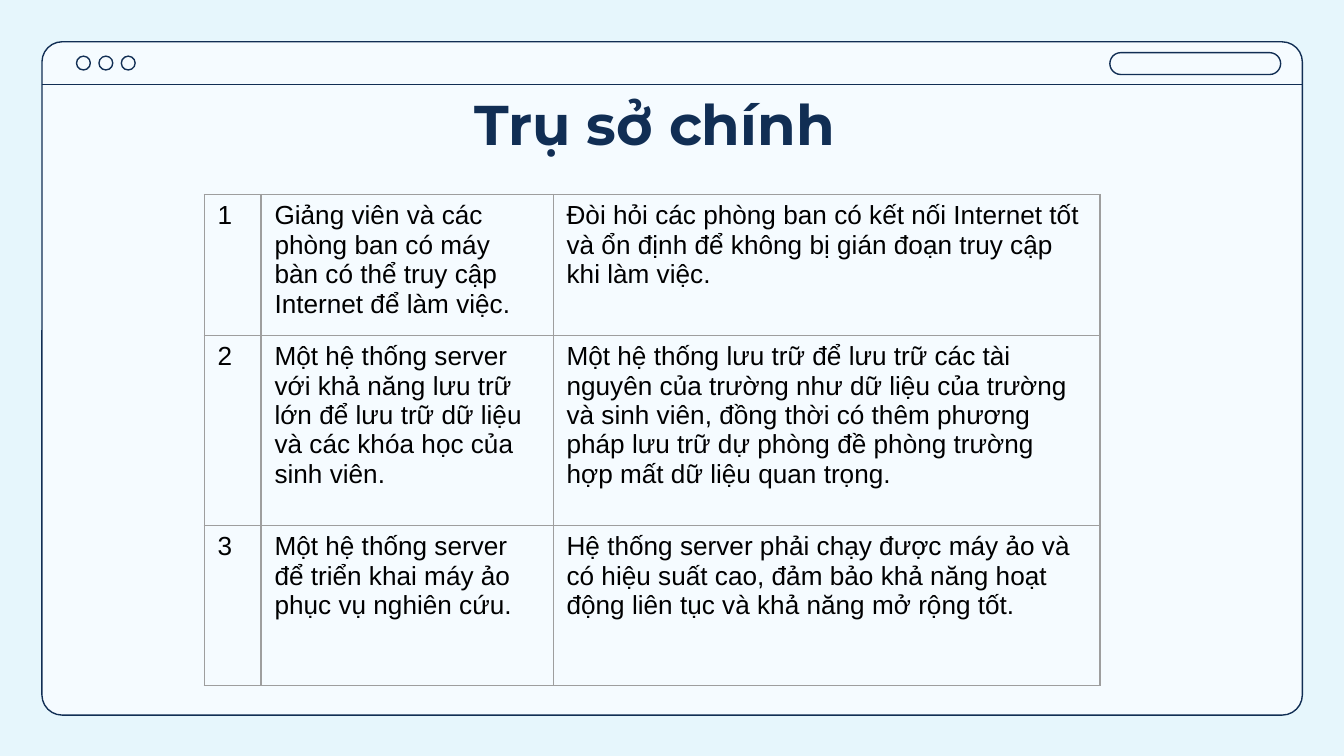
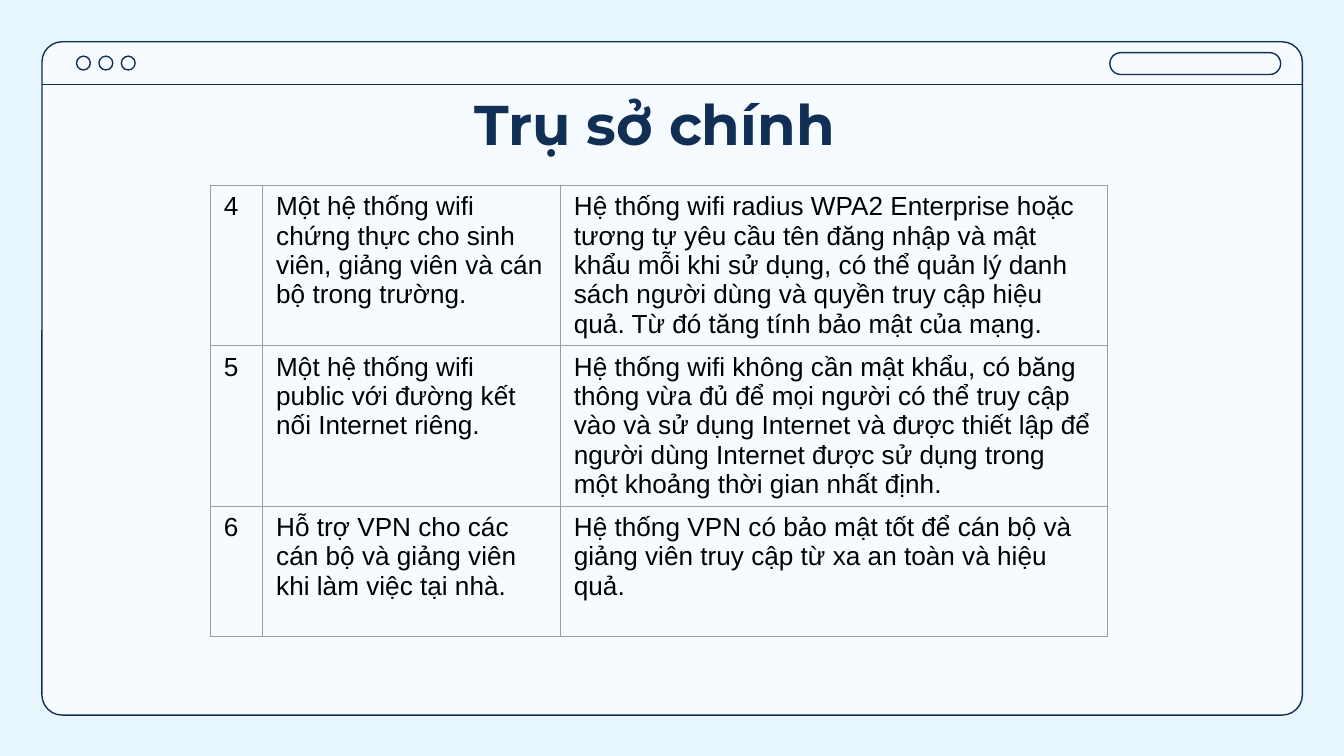
from pptx import Presentation
from pptx.dml.color import RGBColor
from pptx.enum.shapes import MSO_CONNECTOR as Connector, MSO_SHAPE as Shape
from pptx.enum.text import MSO_ANCHOR as Anchor, MSO_AUTO_SIZE as AutoSize, PP_ALIGN as Align
from pptx.oxml.ns import qn
from pptx.util import Pt
from lxml.etree import SubElement

NAVY, PANEL, SKY, GRID, BLACK = "112E54", "F5FBFF", "E6F6FC", "9E9E9E", "000000"
TITLE = "Trụ sở chính"
FRAME_LEFT, FRAME_TOP, FRAME_WIDTH, FRAME_HEIGHT = 22.5, 22.4, 675.2, 360.7
BAR_BOTTOM = 45.2
DOT_LEFT, DOT_PITCH, DOT_SIZE = 41, 12, 7.4
LINE_WIDTH = 0.75

HEADQUARTERS = [
    {
        "left": 109.4, "top": 104.2,
        "columns": [30.5, 156.5, 293], "heights": [75.5, 101.8, 85.7],
        "rows": [
            ("1", "Giảng viên và các phòng ban có máy bàn có thể truy cập Internet để làm việc.",
             "Đòi hỏi các phòng ban có kết nối Internet tốt và ổn định để không bị gián đoạn "
             "truy cập khi làm việc."),
            ("2", "Một hệ thống server với khả năng lưu trữ lớn để lưu trữ dữ liệu và các khóa "
             "học của sinh viên.",
             "Một hệ thống lưu trữ để lưu trữ các tài nguyên của trường như dữ liệu của trường "
             "và sinh viên, đồng thời có thêm phương pháp lưu trữ dự phòng đề phòng trường hợp "
             "mất dữ liệu quan trọng."),
            ("3", "Một hệ thống server để triển khai máy ảo phục vụ nghiên cứu.",
             "Hệ thống server phải chạy được máy ảo và có hiệu suất cao, đảm bảo khả năng hoạt "
             "động liên tục và khả năng mở rộng tốt."),
        ],
    },
    {
        "left": 112.8, "top": 99.2,
        "columns": [28, 159.5, 293], "heights": [86, 86, 70],
        "rows": [
            ("4", "Một hệ thống wifi chứng thực cho sinh viên, giảng viên và cán bộ trong trường.",
             "Hệ thống wifi radius WPA2 Enterprise hoặc tương tự yêu cầu tên đăng nhập và mật "
             "khẩu mỗi khi sử dụng, có thể quản lý danh sách người dùng và quyền truy cập hiệu "
             "quả. Từ đó tăng tính bảo mật của mạng."),
            ("5", "Một hệ thống wifi public với đường kết nối Internet riêng.",
             "Hệ thống wifi không cần mật khẩu, có băng thông vừa đủ để mọi người có thể truy "
             "cập vào và sử dụng Internet và được thiết lập để người dùng Internet được sử dụng "
             "trong một khoảng thời gian nhất định."),
            ("6", "Hỗ trợ VPN cho các cán bộ và giảng viên khi làm việc tại nhà.",
             "Hệ thống VPN có bảo mật tốt để cán bộ và giảng viên truy cập từ xa an toàn và "
             "hiệu quả."),
        ],
    },
]


def paint(color_format, value):
    color_format.rgb = RGBColor.from_string(value)


def write(frame, text, font="Arial", size=14, color=BLACK, bold=False, align=Align.LEFT):
    para = frame.paragraphs[0]
    para.alignment = align
    span = para.add_run()
    span.text = text
    span.font.name = font
    span.font.size = Pt(size)
    span.font.bold = bold
    paint(span.font.color, color)


def add_outline(group, kind, left, top, width, height, fill=None, rounding=None):
    shape = group.shapes.add_shape(kind, Pt(left), Pt(top), Pt(width), Pt(height))
    shape.shadow.inherit = False
    if fill:
        shape.fill.solid()
        paint(shape.fill.fore_color, fill)
    else:
        shape.fill.background()
    paint(shape.line.color, NAVY)
    shape.line.width = Pt(LINE_WIDTH)
    if rounding is not None:
        shape.adjustments[0] = rounding


def add_rule(group, left, right, height):
    rule = group.shapes.add_connector(
        Connector.STRAIGHT, Pt(left), Pt(height), Pt(right), Pt(height))
    paint(rule.line.color, NAVY)
    rule.line.width = Pt(LINE_WIDTH)
    SubElement(rule._element.spPr, qn("a:effectLst"))


def add_window(page):
    window = page.shapes.add_group_shape()
    add_outline(window, Shape.ROUNDED_RECTANGLE, FRAME_LEFT, FRAME_TOP, FRAME_WIDTH,
                FRAME_HEIGHT, fill=PANEL, rounding=0.03)
    for index in range(3):
        add_outline(window, Shape.OVAL, DOT_LEFT + index * DOT_PITCH, 30.1, DOT_SIZE, DOT_SIZE)
    add_outline(window, Shape.ROUNDED_RECTANGLE, 594.6, 28.2, 91.5, 11.7, rounding=0.5)
    add_rule(window, FRAME_LEFT, FRAME_LEFT + FRAME_WIDTH, BAR_BOTTOM)


def set_title(page, text):
    title = page.shapes.title
    page.shapes._spTree.append(title._element)
    title.left, title.top, title.width, title.height = Pt(56.9), Pt(41), Pt(607), Pt(45.4)
    frame = title.text_frame
    frame.word_wrap = True
    frame.auto_size = AutoSize.NONE
    frame.vertical_anchor = Anchor.TOP
    frame.margin_left = frame.margin_top = frame.margin_bottom = Pt(7.2)
    frame.margin_right = Pt(26.6)
    write(frame, text, font="Montserrat", size=30, color=NAVY, bold=True, align=Align.CENTER)


def add_borders(cell):
    properties = cell._tc.get_or_add_tcPr()
    for side in ("lnL", "lnR", "lnT", "lnB"):
        border = SubElement(properties, qn(f"a:{side}"), w=str(Pt(LINE_WIDTH)))
        fill = SubElement(border, qn("a:solidFill"))
        SubElement(fill, qn("a:srgbClr"), val=GRID)


def add_requirements(page, left, top, columns, heights, rows):
    table = page.shapes.add_table(
        len(rows), len(columns), Pt(left), Pt(top), Pt(sum(columns)), Pt(sum(heights))).table
    table.first_row = table.horz_banding = False
    for column, width in zip(table.columns, columns):
        column.width = Pt(width)
    for row, height, texts in zip(table.rows, heights, rows):
        row.height = Pt(height)
        for cell, text in zip(row.cells, texts):
            write(cell.text_frame, text)
            add_borders(cell)
            cell.fill.background()


def main():
    deck = Presentation()
    deck.slide_width, deck.slide_height = Pt(720), Pt(405)
    background = deck.slide_master.background.fill
    background.solid()
    paint(background.fore_color, SKY)
    title_only = deck.slide_layouts.get_by_name("Title Only")
    for requirements in HEADQUARTERS:
        page = deck.slides.add_slide(title_only)
        add_window(page)
        set_title(page, TITLE)
        add_requirements(page, **requirements)
    deck.save("out.pptx")


if __name__ == "__main__":
    main()
